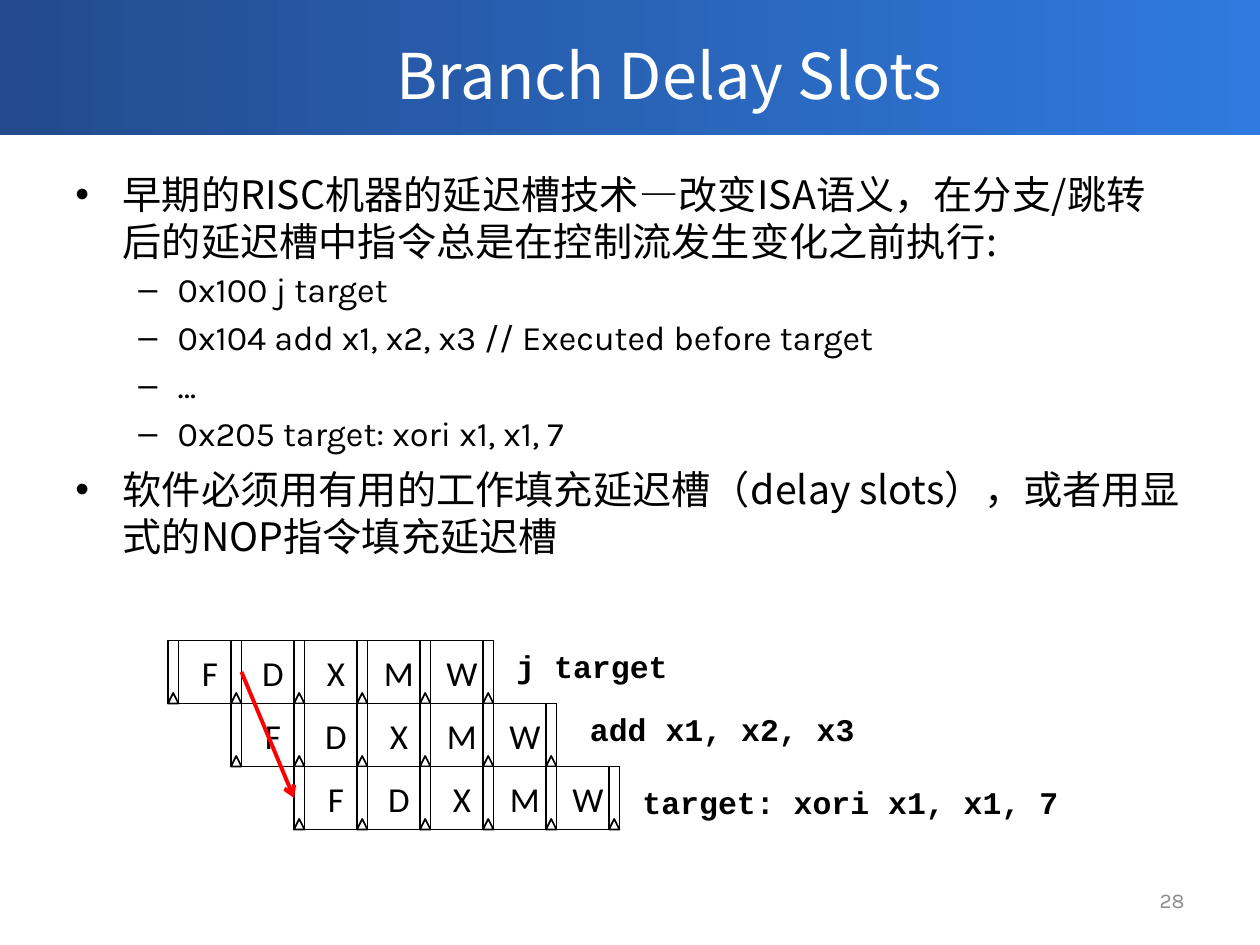
from lxml.etree import SubElement
from pptx import Presentation
from pptx.dml.color import RGBColor
from pptx.enum.shapes import MSO_CONNECTOR as Link, MSO_SHAPE as Kind
from pptx.enum.text import MSO_ANCHOR as Anchor, PP_ALIGN as Align
from pptx.oxml.ns import qn
from pptx.util import Pt

COLORS = {"navy": "234B8D", "blue": "2F7ADF", "white": "FFFFFF",
          "black": "000000", "gray": "8C8C8C", "red": "FF0000"}
SANS, KARLA, CODE, STAGE = "Noto Sans CJK SC", "Karla", "Courier New", "Calibri"

# (level, text)
BODY = [
    (0, "早期的RISC机器的延迟槽技术—改变ISA语义，在分支/跳转后的延迟槽中指令总是在控制流发生变化之前执行:"),
    (1, "0x100 j target"),
    (1, "0x104 add x1, x2, x3 // Executed before target"),
    (1, "…"),
    (1, "0x205 target: xori x1, x1, 7"),
    (0, "软件必须用有用的工作填充延迟槽（delay slots），或者用显式的NOP指令填充延迟槽"),
]
# per level: bullet, indent, hang, font, size, line height, space before, after
LEVELS = [("•", 27, 27, SANS, 22.4, 27, 4.5, 0),
          ("–", 58.5, 22.5, KARLA, 19.6, 23.5, 2, 2)]

# (text, left, top, width) of the label beside each pipeline row
LABELS = [("j target", 288, 366, 102),
          ("add x1, x2, x3", 330, 402, 167),
          ("target: xori x1, x1, 7", 360, 444, 254)]
STAGES = "FDXMW"
LEFT, TOP, STEP, LATCH = 96, 366, 36, 6


def rgb(name):
    return RGBColor.from_string(COLORS[name])


class Deck:
    """Holds the style and the current slide; lengths are in points."""

    def __init__(self, prs):
        self.slide = prs.slides.add_slide(prs.slide_layouts[5])
        self.shapes = self.slide.shapes

    def style(self, para, font, size, color="black", bold=False, align=Align.LEFT):
        para.alignment = align
        face = para.font
        face.name, face.size, face.bold = font, Pt(size), bold
        face.color.rgb = rgb(color)
        head = para._p.find(qn("a:pPr")).find(qn("a:defRPr"))
        SubElement(head, qn("a:ea")).set("typeface", font)

    def shape(self, kind, x, y, w, h):
        item = self.shapes.add_shape(kind, Pt(x), Pt(y), Pt(w), Pt(h))
        item.shadow.inherit = False
        item.fill.solid()
        item.fill.fore_color.rgb = rgb("white")
        item.line.color.rgb = rgb("black")
        item.line.width = Pt(1)
        return item

    def banner(self, w, h):
        bar = self.shape(Kind.RECTANGLE, 0, 0, w, h)
        bar.line.fill.background()
        bar.fill.gradient()
        bar.fill.gradient_angle = 0
        for stop, name in zip(bar.fill.gradient_stops, ("navy", "blue")):
            stop.color.rgb = rgb(name)

    def title(self, text, x, y, w, h):
        item = self.shapes.title
        item.left, item.top, item.width, item.height = Pt(x), Pt(y), Pt(w), Pt(h)
        item.text_frame.text = text
        item.text_frame.vertical_anchor = Anchor.MIDDLE
        self.style(item.text_frame.paragraphs[0], SANS, 36, "white", align=Align.CENTER)
        self.shapes._spTree.append(item._element)  # bring above the banner

    def text(self, text, x, y, w, h, font, size, wrap=True, **look):
        frame = self.shapes.add_textbox(Pt(x), Pt(y), Pt(w), Pt(h)).text_frame
        frame.word_wrap = wrap
        frame.text = text
        self.style(frame.paragraphs[0], font, size, **look)
        return frame

    def bullets(self, rows, x, y, w, h):
        frame = self.shapes.add_textbox(Pt(x), Pt(y), Pt(w), Pt(h)).text_frame
        frame.word_wrap = True
        for num, (level, text) in enumerate(rows):
            mark, left, hang, font, size, line, before, after = LEVELS[level]
            para = frame.add_paragraph() if num else frame.paragraphs[0]
            para.text, para.level = text, level
            para.line_spacing = Pt(line)
            para.space_before = Pt(before if num else 0)
            para.space_after = Pt(after)
            props = para._p.get_or_add_pPr()
            props.set("marL", str(Pt(left)))
            props.set("indent", str(-Pt(hang)))
            SubElement(props, qn("a:buFont")).set("typeface", "Arial")
            SubElement(props, qn("a:buChar")).set("char", mark)
            self.style(para, font, size)

    def stage(self, text, x, y):
        box = self.shape(Kind.RECTANGLE, x, y, STEP, STEP)
        frame = box.text_frame
        frame.margin_left = frame.margin_right = 0
        frame.margin_top = frame.margin_bottom = 0
        frame.vertical_anchor = Anchor.MIDDLE
        frame.text = text
        self.style(frame.paragraphs[0], STAGE, 20, align=Align.CENTER)

    def latch(self, x, y):
        """Draw a pipeline register with its clock mark."""
        bar = self.shape(Kind.RECTANGLE, x, y, LATCH, STEP)
        self.shape(Kind.ISOSCELES_TRIANGLE, x, y + STEP - LATCH, LATCH, LATCH)
        return bar

    def pipe(self, x, y):
        """Draw one row of stages and return its latches."""
        for num, name in enumerate(STAGES):
            self.stage(name, x + LATCH + num * STEP, y)
        return [self.latch(x + num * STEP, y) for num in range(len(STAGES) + 1)]

    def arrow(self, start, end):
        """Join the right side of start to the left side of end."""
        line = self.shapes.add_connector(Link.STRAIGHT, 0, 0, 0, 0)
        line.begin_connect(start, 3)
        line.end_connect(end, 1)
        line.line.color.rgb = rgb("red")
        line.line.width = Pt(2.25)
        SubElement(line.line._get_or_add_ln(), qn("a:tailEnd")).set("type", "arrow")
        SubElement(line._element.spPr, qn("a:effectLst"))


def main():
    prs = Presentation()
    prs.slide_width, prs.slide_height = Pt(720), Pt(540)
    deck = Deck(prs)
    deck.banner(720, 77)
    deck.title("Branch Delay Slots", 81, 11.5, 603, 62)
    deck.bullets(BODY, 36, 93.5, 648, 255)
    deck.text("28", 516, 500, 168, 29, KARLA, 12, color="gray",
              align=Align.RIGHT).vertical_anchor = Anchor.MIDDLE

    rows = [deck.pipe(LEFT + num * STEP, TOP + num * STEP)
            for num in range(len(LABELS))]
    for text, x, y, w in LABELS:
        deck.text(text, x, y, w, 29, CODE, 18, wrap=False, bold=True)
    deck.arrow(rows[0][1], rows[2][0])
    prs.save("out.pptx")


if __name__ == "__main__":
    main()
